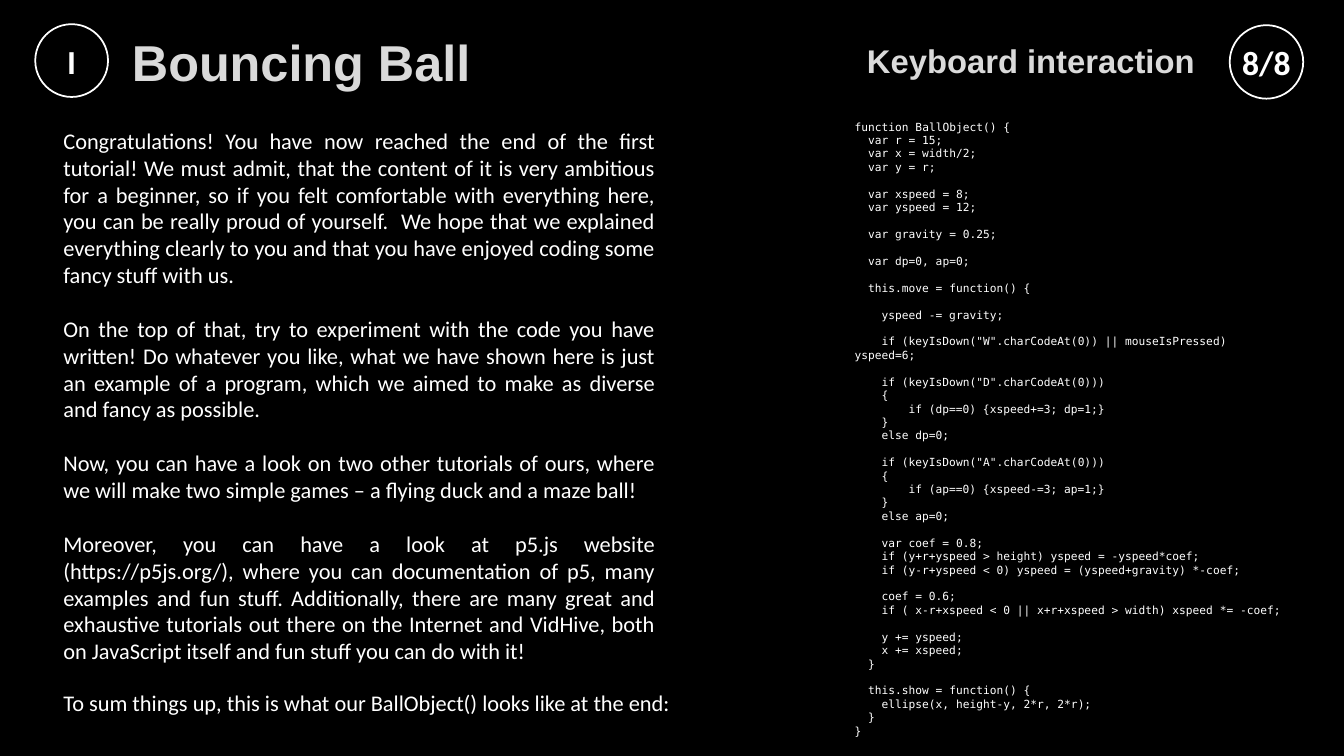
"""Build the closing slide of the Bouncing Ball tutorial."""
from dataclasses import dataclass

from pptx import Presentation
from pptx.dml.color import RGBColor
from pptx.enum.shapes import MSO_SHAPE
from pptx.enum.text import MSO_ANCHOR, PP_ALIGN
from pptx.slide import Slide
from pptx.text.text import TextFrame
from pptx.util import Pt

OVAL = MSO_SHAPE.OVAL
TOP, MIDDLE = MSO_ANCHOR.TOP, MSO_ANCHOR.MIDDLE
LEFT, CENTER, RIGHT, JUSTIFY = (
    PP_ALIGN.LEFT, PP_ALIGN.CENTER, PP_ALIGN.RIGHT, PP_ALIGN.JUSTIFY)

BLACK = RGBColor(0x00, 0x00, 0x00)
WHITE = RGBColor(0xFF, 0xFF, 0xFF)
SILVER = RGBColor(0xDA, 0xDA, 0xDA)

CODE_MARGIN = 36
CODE_CHAR_WIDTH = 4.82
CODE_LINE = 9.6

CODE = """\
function BallObject() {
  var r = 15;
  var x = width/2;
  var y = r;

  var xspeed = 8;
  var yspeed = 12;

  var gravity = 0.25;

  var dp=0, ap=0;

  this.move = function() {

    yspeed -= gravity;

    if (keyIsDown("W".charCodeAt(0)) || mouseIsPressed) yspeed=6;

    if (keyIsDown("D".charCodeAt(0)))
    {
        if (dp==0) {xspeed+=3; dp=1;}
    }
    else dp=0;

    if (keyIsDown("A".charCodeAt(0)))
    {
        if (ap==0) {xspeed-=3; ap=1;}
    }
    else ap=0;

    var coef = 0.8;
    if (y+r+yspeed > height) yspeed = -yspeed*coef;
    if (y-r+yspeed < 0) yspeed = (yspeed+gravity) *-coef;

    coef = 0.6;
    if ( x-r+xspeed < 0 || x+r+xspeed > width) xspeed *= -coef;

    y += yspeed;
    x += xspeed;
  }

  this.show = function() {
    ellipse(x, height-y, 2*r, 2*r);
  }
}"""


@dataclass(frozen=True)
class Style:
    font: str
    size: float
    color: RGBColor
    bold: bool = False
    align: PP_ALIGN = LEFT
    anchor: MSO_ANCHOR = TOP
    gap: float = 0


@dataclass(frozen=True)
class Badge:
    text: str
    left: float
    top: float
    size: float


@dataclass(frozen=True)
class TextBlock:
    paragraphs: tuple[str, ...]
    left: float
    top: float
    width: float
    height: float
    style: Style


BADGE_STYLE = Style("Calibri", 24, WHITE, True, CENTER, MIDDLE)
TITLE_STYLE = Style("Arial", 36, SILVER, True, LEFT, MIDDLE)
SUBTITLE_STYLE = Style("Arial", 23.4, SILVER, True, RIGHT, MIDDLE)
BODY_STYLE = Style("Calibri", 16, WHITE, align=JUSTIFY, gap=19.2)
CODE_STYLE = Style("DejaVu Sans Mono", 8, WHITE)

BADGES = (
    Badge("I", 25.2, 17.3, 52),
    Badge("8/8", 878.4, 18, 52.5),
)

BODY = (
    "Congratulations! You have now reached the end of the first tutorial! "
    "We must admit, that the content of it is very ambitious for a beginner, "
    "so if you felt comfortable with everything here, you can be really proud "
    "of yourself.  We hope that we explained everything clearly to you and "
    "that you have enjoyed coding some fancy stuff with us.",
    "On the top of that, try to experiment with the code you have written! "
    "Do whatever you like, what we have shown here is just an example of a "
    "program, which we aimed to make as diverse and fancy as possible.",
    "Now, you can have a look on two other tutorials of ours, where we will "
    "make two simple games – a flying duck and a maze ball!",
    "Moreover, you can have a look at p5.js website (https://p5js.org/), "
    "where you can documentation of p5, many examples and fun stuff. "
    "Additionally, there are many great and exhaustive tutorials out there on "
    "the Internet and VidHive, both on JavaScript itself and fun stuff you "
    "can do with it!",
)

BLOCKS = (
    TextBlock(("Bouncing Ball",), 87.1, 24.5, 743, 38.2, TITLE_STYLE),
    TextBlock(("Keyboard interaction",), 519.1, 11.5, 341.3, 63.4, SUBTITLE_STYLE),
    TextBlock(BODY, 38.2, 87.1, 437, 433.4, BODY_STYLE),
    TextBlock(("To sum things up, this is what our BallObject() looks like "
               "at the end:",), 38.2, 488.9, 512.6, 26.6, BODY_STYLE),
)
CODE_BLOCK = TextBlock(
    tuple(CODE.splitlines()), 567.4, 82.1, 362.9, 443.5, CODE_STYLE)


def write(tf: TextFrame, lines: tuple[str, ...], style: Style) -> None:
    """Fill a text frame with styled paragraphs."""
    tf.word_wrap = True
    tf.vertical_anchor = style.anchor
    for i, line in enumerate(lines):
        p = tf.add_paragraph() if i else tf.paragraphs[0]
        p.text = line
        p.alignment = style.align
        if i and style.gap:
            p.space_before = Pt(style.gap)
        p.font.name = style.font
        p.font.size = Pt(style.size)
        p.font.bold = style.bold
        p.font.color.rgb = style.color


def add_badge(s: Slide, badge: Badge) -> None:
    """Draw an outlined circle with a short label."""
    size = Pt(badge.size)
    sp = s.shapes.add_shape(OVAL, Pt(badge.left), Pt(badge.top), size, size)
    sp.shadow.inherit = False
    sp.fill.background()
    sp.line.color.rgb = WHITE
    sp.line.width = Pt(1.25)
    tf = sp.text_frame
    tf.margin_left = tf.margin_right = tf.margin_top = tf.margin_bottom = 0
    write(tf, (badge.text,), BADGE_STYLE)


def add_block(s: Slide, block: TextBlock, lines: tuple[str, ...]) -> TextFrame:
    """Add a text box holding the given lines."""
    sp = s.shapes.add_textbox(
        Pt(block.left), Pt(block.top), Pt(block.width), Pt(block.height))
    write(sp.text_frame, lines, block.style)
    return sp.text_frame


def add_code(s: Slide, block: TextBlock) -> None:
    """Add a listing, turning leading spaces into indents and blanks into gaps."""
    source = [line for line in block.paragraphs if line]
    after_blank = [bool(line) and not before for before, line
                   in zip(("{",) + block.paragraphs, block.paragraphs) if line]
    tf = add_block(s, block, tuple(line.lstrip() for line in source))
    for p, line, spaced in zip(tf.paragraphs, source, after_blank):
        depth = len(line) - len(line.lstrip())
        pPr = p._p.get_or_add_pPr()
        pPr.set("marL", str(Pt(CODE_MARGIN)))
        pPr.set("indent", str(Pt(depth * CODE_CHAR_WIDTH)))
        if spaced:
            p.space_before = Pt(CODE_LINE)


def main() -> None:
    """Assemble and save the slide."""
    prs = Presentation()
    prs.slide_width, prs.slide_height = Pt(960), Pt(540)
    s = prs.slides.add_slide(prs.slide_layouts[6])
    s.background.fill.solid()
    s.background.fill.fore_color.rgb = BLACK
    for badge in BADGES:
        add_badge(s, badge)
    for block in BLOCKS:
        add_block(s, block, block.paragraphs)
    add_code(s, CODE_BLOCK)
    prs.save("out.pptx")


if __name__ == "__main__":
    main()
